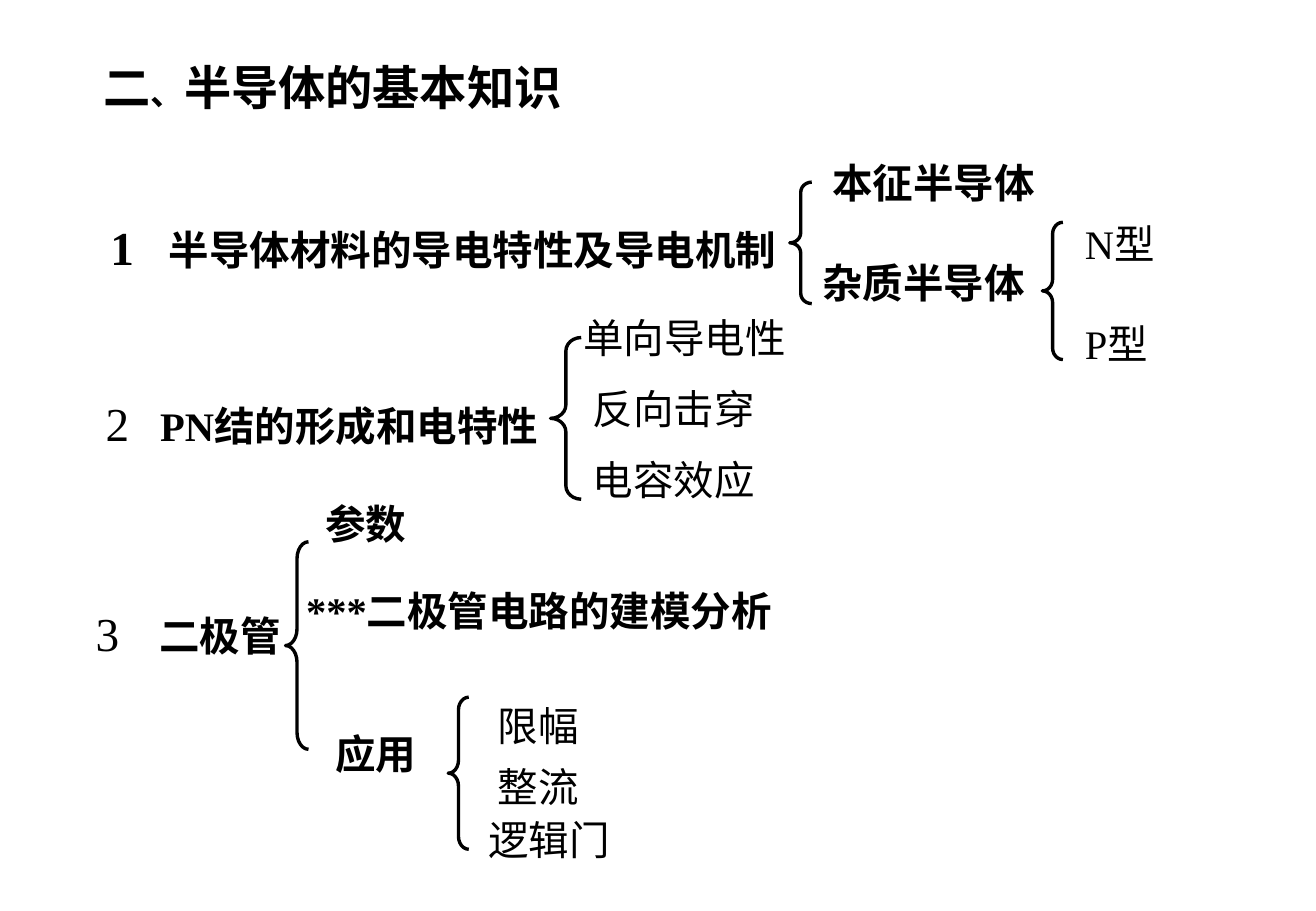
from lxml import etree
from pptx import Presentation, util as u
from pptx.dml import color
from pptx.enum import shapes, text
from pptx.oxml import ns

FONT = "Times New Roman"
BLACK = "000000"

# Each section: box origin, heading, labels (text, x, y, bold) and
# braces (x, y, width, height, curve); offsets are in cm from the origin.
SECTIONS = [
    dict(origin=(2.06, 3.18), number="1", title="半导体材料的导电特性及导电机制",
         heading_y=1.27, tab=1.22, bold_number=True,
         labels=[("本征半导体", 15.09, 0, True), ("杂质半导体", 14.88, 2.1, True),
                 ("N型", 20.37, 1.27, False), ("P型", 20.37, 3.37, False)],
         braces=[(14.45, 0.63, 0.46, 2.54, 0.46), (19.73, 1.47, 0.43, 2.87, 0.56)]),
    dict(origin=(1.96, 6.43), number="2", title="PN结的形成和电特性",
         heading_y=1.7, tab=1.14, bold_number=False,
         labels=[("单向导电性", 9.98, 0, False), ("反向击穿", 10.18, 1.47, False),
                 ("电容效应", 10.18, 2.97, False)],
         braces=[(9.55, 0.63, 0.64, 3.38, 0.44)]),
    dict(origin=(1.75, 10.31), number="3", title="二极管",
         heading_y=2.21, tab=1.33, bold_number=False,
         labels=[("参数", 4.8, 0, True), ("***二极管电路的建模分析", 4.4, 1.81, True),
                 ("应用", 5.01, 4.8, True), ("限幅", 8.41, 4.22, False),
                 ("整流", 8.41, 5.49, False), ("逻辑门", 8.21, 6.61, False)],
         braces=[(4.22, 1.02, 0.48, 4.34, 0.73), (7.62, 4.27, 0.43, 3.18, 0.62)]),
]


def rgb(value):
    return color.RGBColor.from_string(value)


def add_span(para, words, size, bold):
    span = para.add_run()
    span.text = words
    span.font.name = FONT
    span.font.size = u.Pt(size)
    span.font.bold = bold
    span.font.color.rgb = rgb(BLACK)


def add_text_box(page, left, top, width, height):
    box = page.shapes.add_textbox(u.Cm(left), u.Cm(top), u.Cm(width), u.Cm(height))
    box.text_frame.word_wrap = True
    return box.text_frame.paragraphs[0]


def add_heading(page, left, top, number, title, tab, bold_number):
    para = add_text_box(page, left, top, 15, 1.45)
    tabs = etree.SubElement(para._p.get_or_add_pPr(), ns.qn("a:tabLst"))
    etree.SubElement(tabs, ns.qn("a:tab"), pos=str(u.Cm(tab)), algn="l")
    add_span(para, number, 28, bold_number)
    add_span(para, "\t" + title, 24, True)


def add_label(page, left, top, words, bold):
    para = add_text_box(page, left, top, 0.9 * len(words) + 0.6, 1.27)
    add_span(para, words, 24, bold)


def add_brace(page, left, top, width, height, curve):
    brace = page.shapes.add_shape(shapes.MSO_SHAPE.LEFT_BRACE, u.Cm(left), u.Cm(top),
                                  u.Cm(width), u.Cm(height))
    brace.adjustments[0] = curve
    brace.shadow.inherit = False
    brace.fill.background()
    brace.line.color.rgb = rgb(BLACK)
    brace.line.width = u.Pt(2)


def draw_section(page, origin, number, title, heading_y, tab, bold_number, labels, braces):
    left, top = origin
    add_heading(page, left, top + heading_y, number, title, tab, bold_number)
    for words, x, y, bold in labels:
        add_label(page, left + x, top + y, words, bold)
    for x, y, width, height, curve in braces:
        add_brace(page, left + x, top + y, width, height, curve)


def draw_title(page, left, top, width, height):
    title = page.shapes.title
    title.left, title.top = u.Cm(left), u.Cm(top)
    title.width, title.height = u.Cm(width), u.Cm(height)
    frame = title.text_frame
    frame.auto_size = text.MSO_AUTO_SIZE.NONE
    frame.vertical_anchor = text.MSO_ANCHOR.MIDDLE
    para = frame.paragraphs[0]
    para.alignment = text.PP_ALIGN.LEFT
    for words, size in (("二", 28), ("、", 20), ("半导体的基本知识", 28)):
        add_span(para, words, size, True)


def main():
    deck = Presentation()
    deck.slide_width, deck.slide_height = u.Cm(27.51), u.Cm(19.05)
    page = deck.slides.add_slide(deck.slide_layouts[5])
    # Title
    draw_title(page, 1.9, 1.07, 19.3, 1.47)
    # Numbered outline with its branches
    for section in SECTIONS:
        draw_section(page, **section)
    deck.save("out.pptx")


if __name__ == "__main__":
    main()
